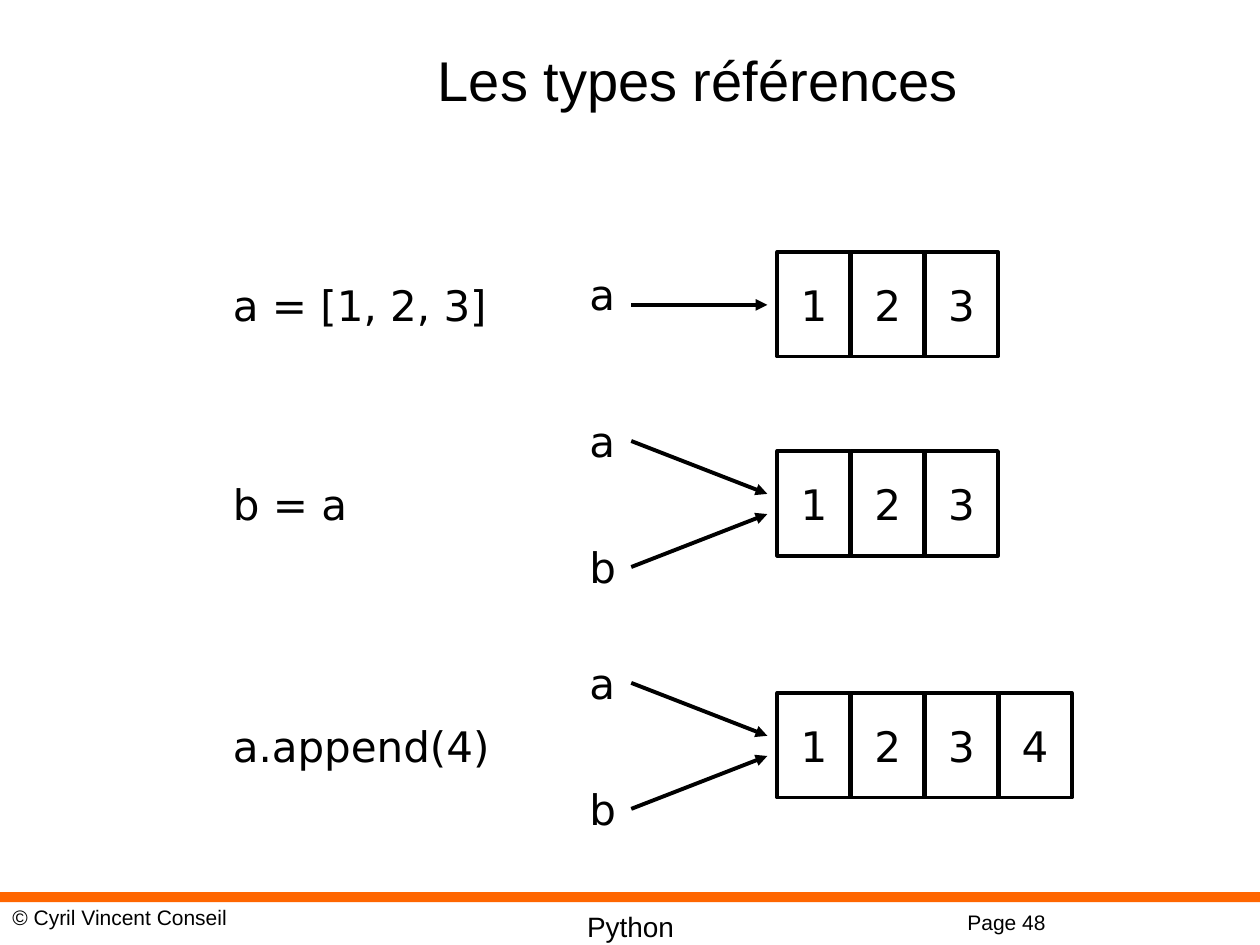
"""Build a slide showing how Python references share one list."""
from lxml.etree import SubElement
from pptx import Presentation
from pptx.dml.color import RGBColor
from pptx.enum.shapes import MSO_CONNECTOR, MSO_SHAPE
from pptx.enum.text import MSO_ANCHOR, MSO_AUTO_SIZE, PP_ALIGN
from pptx.oxml.ns import qn
from pptx.util import Inches, Pt

COLORS = {"ink": "000000", "band": "FF6600"}
INK = RGBColor.from_string(COLORS["ink"])
CODE_FONT = "DejaVu Sans"


def write(shape, text, size, font, align=PP_ALIGN.LEFT, anchor=MSO_ANCHOR.TOP, wrap=False):
    """Put one styled run of text in a shape."""
    frame = shape.text_frame
    frame.word_wrap = wrap
    frame.vertical_anchor = anchor
    para = frame.paragraphs[0]
    para.alignment = align
    span = para.add_run()
    span.text = text
    span.font.size = Pt(size)
    span.font.name = font
    span.font.color.rgb = INK


def add_text(left, top, width, height, text, size, font, **style):
    """Add a text box holding one run."""
    box = page.shapes.add_textbox(Inches(left), Inches(top), Inches(width), Inches(height))
    write(box, text, size, font, **style)
    return box


deck = Presentation()
deck.slide_width, deck.slide_height = Inches(10), Inches(7.5)
page = deck.slides.add_slide(deck.slide_layouts[6])

band = page.shapes.add_shape(MSO_SHAPE.RECTANGLE, 0, Inches(7.08), Inches(10), Inches(0.08))
band.shadow.inherit = False
band.fill.solid()
band.fill.fore_color.rgb = RGBColor.from_string(COLORS["band"])
band.line.fill.background()

add_text(7.58, 7.17, 1.33, 0.3, "Page 48", 12, "Arial", wrap=True)
add_text(2.42, 7.17, 5.17, 0.37, "Python", 16, "Arial", align=PP_ALIGN.CENTER, wrap=True)
add_text(0, 7.13, 3.75, 0.3, "© Cyril Vincent Conseil", 12, "Arial", wrap=True)
add_text(1.29, 0, 8.5, 1.25, "Les types références", 32, "Arial",
         align=PP_ALIGN.CENTER, anchor=MSO_ANCHOR.MIDDLE, wrap=True)

CELL_LEFT, CELL_STEP, CELL_WIDTH, CELL_HEIGHT = 6.17, 0.585, 0.58, 0.83
SINGLE = [("a", 0.08, 0.42, 0.42)]
SHARED = [("a", -0.33, -0.08, 0.34), ("b", 0.67, 0.92, 0.5)]
steps = [
    (2, "a = [1, 2, 3]", 2.33, SINGLE, "123"),
    (3.58, "b = a", 1.12, SHARED, "123"),
    (5.5, "a.append(4)", 2.27, SHARED, "1234"),
]

for top, code, code_width, references, values in steps:
    code_box = add_text(1.75, top + 0.17, code_width, 0.5, code, 24, CODE_FONT)
    code_box.text_frame.auto_size = MSO_AUTO_SIZE.SHAPE_TO_FIT_TEXT

    for name, label_offset, start_offset, end_offset in references:
        label = add_text(4.58, top + label_offset, 0.4, 0.5, name, 24, CODE_FONT)
        label.text_frame.auto_size = MSO_AUTO_SIZE.SHAPE_TO_FIT_TEXT
        arrow = page.shapes.add_connector(
            MSO_CONNECTOR.STRAIGHT, Inches(5.01), Inches(top + start_offset),
            Inches(6.09), Inches(top + end_offset))
        arrow.line.color.rgb = INK
        arrow.line.width = Pt(2.25)
        SubElement(arrow.line._get_or_add_ln(), qn("a:tailEnd"), type="triangle")
        SubElement(arrow._element.spPr, qn("a:effectLst"))

    for index, value in enumerate(values):
        cell = page.shapes.add_shape(
            MSO_SHAPE.RECTANGLE, Inches(CELL_LEFT + index * CELL_STEP), Inches(top),
            Inches(CELL_WIDTH), Inches(CELL_HEIGHT))
        cell.shadow.inherit = False
        cell.fill.background()
        cell.line.color.rgb = INK
        cell.line.width = Pt(2.25)
        write(cell, value, 24, CODE_FONT, align=PP_ALIGN.CENTER, anchor=MSO_ANCHOR.MIDDLE)

deck.save("out.pptx")
